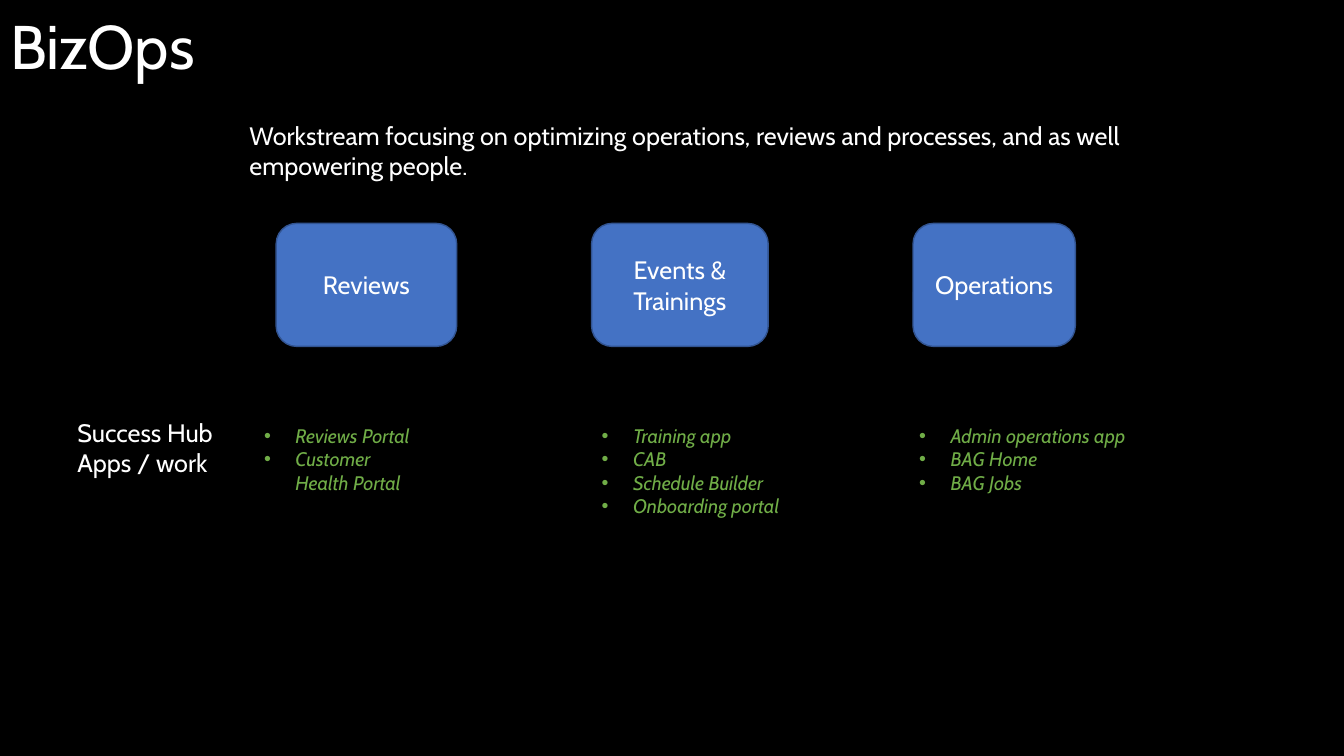
from dataclasses import dataclass

from lxml.etree import SubElement
from pptx import Presentation
from pptx.dml.color import RGBColor
from pptx.enum.shapes import MSO_SHAPE as Shape
from pptx.enum.text import MSO_ANCHOR as Anchor, MSO_AUTO_SIZE as AutoSize, PP_ALIGN as Align
from pptx.oxml.ns import qn
from pptx.util import Cm, Pt


@dataclass(frozen=True)
class Theme:
    font: str = "Cabin"
    back: str = "000000"
    text: str = "FFFFFF"
    accent: str = "70AD47"
    fill: str = "4472C4"
    line: str = "325491"
    title_size: int = 44
    body_size: int = 18
    list_size: int = 14


THEME = Theme()
COMPARISON_LAYOUT = 4
LIST_INDENT = Cm(0.79)

# Each stream: heading, its left and width, list placeholder, list left, width and height, items
STREAMS = [
    ("Reviews", 6.96, 4.55, 2, 6.4, 4.55, 2.64,
     ["Reviews Portal", "Customer Health Portal"]),
    ("Events & Trainings", 14.91, 4.45, 4, 14.91, 5.31, 3.25,
     ["Training app", "CAB", "Schedule Builder", "Onboarding portal"]),
    ("Operations", 23.01, 4.09, 3, 22.91, 6.81, 2.64,
     ["Admin operations app", "BAG Home", "BAG Jobs"]),
]


def color(code):
    return RGBColor.from_string(code)


def place(shape, left, top, width, height):
    shape.left, shape.top = Cm(left), Cm(top)
    shape.width, shape.height = Cm(width), Cm(height)


def add_bullet(para):
    props = para._p.get_or_add_pPr()
    props.set("marL", str(LIST_INDENT))
    props.set("indent", str(-LIST_INDENT))
    SubElement(props, qn("a:buFont")).set("typeface", "Arial")
    SubElement(props, qn("a:buChar")).set("char", "•")


def write(shape, lines, size, tone=THEME.text, align=Align.LEFT,
          anchor=Anchor.TOP, bullets=False, spacing=1.0):
    frame = shape.text_frame
    frame.word_wrap = True
    frame.auto_size = AutoSize.NONE
    frame.vertical_anchor = anchor
    frame.text = "\n".join(lines)
    for para in frame.paragraphs:
        if bullets:
            add_bullet(para)
        para.alignment = align
        para.line_spacing = spacing
        para.space_before = Pt(0)
        font = para.font
        font.name, font.size = THEME.font, Pt(size)
        font.bold, font.italic = False, bullets
        font.color.rgb = color(tone)


def add_heading_box(page, heading, left, top, width, height):
    box = page.shapes.add_shape(Shape.ROUNDED_RECTANGLE,
                                Cm(left), Cm(top), Cm(width), Cm(height))
    box.shadow.inherit = False
    box.fill.solid()
    box.fill.fore_color.rgb = color(THEME.fill)
    box.line.color.rgb = color(THEME.line)
    box.line.width = Pt(1)
    write(box, [heading], THEME.body_size, align=Align.CENTER, anchor=Anchor.MIDDLE)


def fill_header(page):
    title = page.shapes.title
    place(title, 0, 0, 32.39, 2.49)
    write(title, ["BizOps"], THEME.title_size, anchor=Anchor.MIDDLE, spacing=0.9)

    intro = page.placeholders[1]
    place(intro, 6.03, 2.91, 24.41, 1.8)
    write(intro, ["Workstream focusing on optimizing operations, reviews and "
                  "processes, and as well empowering people."], THEME.body_size)


def fill_streams(page, top, list_top):
    for heading, left, width, slot, list_left, list_width, list_height, items in STREAMS:
        add_heading_box(page, heading, left, top, width, 3.1)
        body = page.placeholders[slot]
        place(body, list_left, list_top, list_width, list_height)
        write(body, items, THEME.list_size, THEME.accent, bullets=True)


def add_row_label(page, left, top, width, height):
    label = page.shapes.add_textbox(Cm(left), Cm(top), Cm(width), Cm(height))
    write(label, ["Success Hub", "Apps / work"], THEME.body_size)


def main():
    deck = Presentation()
    deck.slide_width, deck.slide_height = Cm(33.87), Cm(19.05)
    page = deck.slides.add_slide(deck.slide_layouts[COMPARISON_LAYOUT])
    page.background.fill.solid()
    page.background.fill.fore_color.rgb = color(THEME.back)

    # Title and introduction
    fill_header(page)
    # Workstream boxes with their app lists
    fill_streams(page, top=5.63, list_top=10.55)
    # Label of the list row
    add_row_label(page, 1.7, 10.39, 5.11, 1.8)

    deck.save("out.pptx")


if __name__ == "__main__":
    main()
